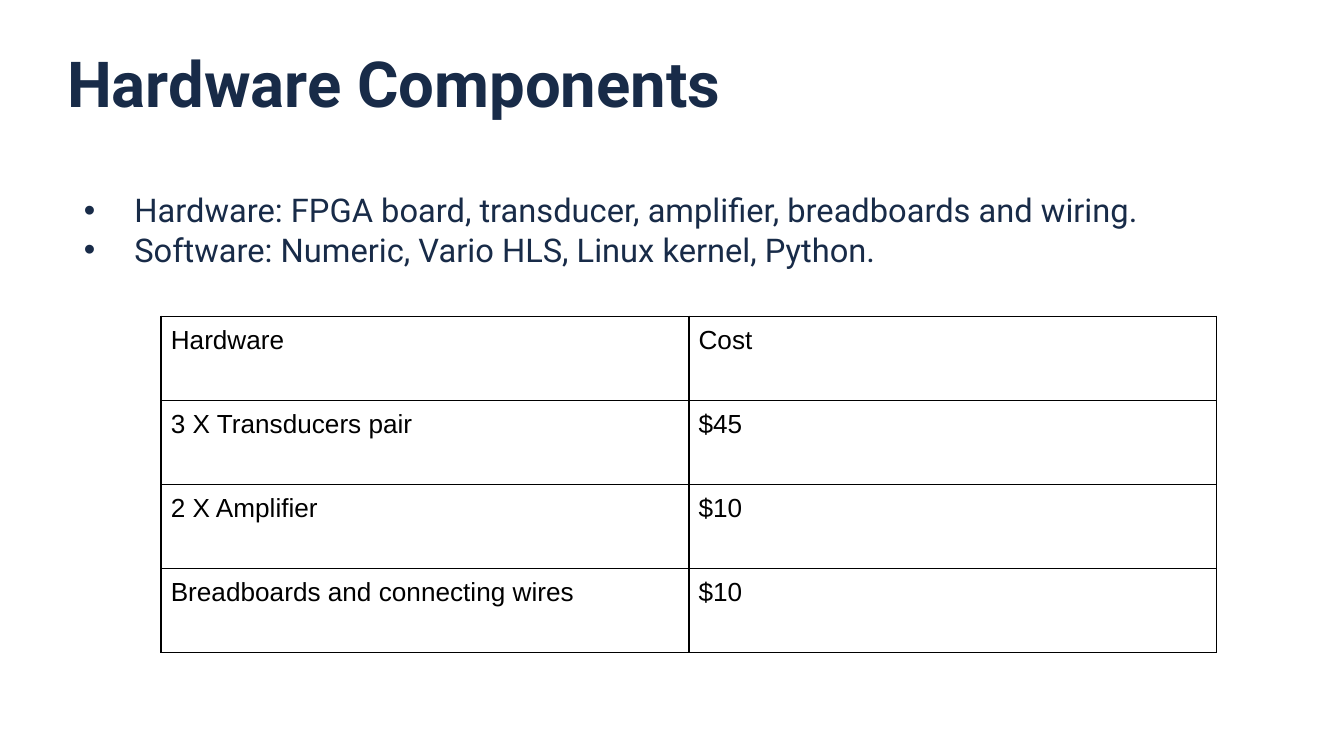
from dataclasses import dataclass

from lxml import etree
from pptx import Presentation
from pptx.dml.color import RGBColor
from pptx.enum.text import MSO_ANCHOR
from pptx.oxml.ns import qn
from pptx.util import Pt

TOP = MSO_ANCHOR.TOP
PX = 9525
BORDER_SIDES = ("a:lnL", "a:lnR", "a:lnT", "a:lnB")


@dataclass(frozen=True)
class Theme:
    navy: str = "182B48"
    black: str = "000000"
    white: str = "FFFFFF"
    heading_font: str = "Roboto"
    table_font: str = "Arial"
    title_size: float = 34
    body_size: float = 17.5
    table_size: float = 14
    border_width: float = 1


class SlideBuilder:
    def __init__(self, page, theme):
        self.page = page
        self.theme = theme
        page.background.fill.solid()
        page.background.fill.fore_color.rgb = RGBColor.from_string(theme.white)

    def style(self, para, name, size, color, bold=False):
        for span in para.runs:
            span.font.name = name
            span.font.size = Pt(size)
            span.font.bold = bold
            span.font.color.rgb = RGBColor.from_string(color)

    def text_box(self, left, top, width, height, text):
        box = self.page.shapes.add_textbox(left * PX, top * PX, width * PX, height * PX)
        frame = box.text_frame
        frame.word_wrap = True
        frame.vertical_anchor = TOP
        frame.margin_left = frame.margin_right = 0
        frame.margin_top = frame.margin_bottom = 0
        frame.text = text
        return frame

    def title(self, left, top, width, height, text):
        para = self.text_box(left, top, width, height, text).paragraphs[0]
        para.line_spacing = 0.8
        self.style(para, self.theme.heading_font, self.theme.title_size, self.theme.navy, True)

    def bullets(self, left, top, width, height, lines, indent, hanging):
        frame = self.text_box(left, top, width, height, "\n".join(lines))
        for para in frame.paragraphs:
            props = para._p.get_or_add_pPr()
            props.set("marL", str(indent * PX))
            props.set("indent", str(-hanging * PX))
            color = etree.SubElement(props, qn("a:buClr"))
            etree.SubElement(color, qn("a:srgbClr"), val=self.theme.navy)
            etree.SubElement(props, qn("a:buFont"), typeface=self.theme.table_font)
            etree.SubElement(props, qn("a:buChar"), char="•")
            self.style(para, self.theme.heading_font, self.theme.body_size, self.theme.navy)

    def borders(self, cell):
        props = cell._tc.get_or_add_tcPr()
        for index, side in enumerate(BORDER_SIDES):
            line = etree.Element(qn(side), w=str(Pt(self.theme.border_width)))
            fill = etree.SubElement(line, qn("a:solidFill"))
            etree.SubElement(fill, qn("a:srgbClr"), val=self.theme.black)
            props.insert(index, line)

    def table(self, left, top, column_width, row_height, rows, margin):
        columns = len(rows[0])
        frame = self.page.shapes.add_table(
            len(rows), columns, left * PX, top * PX,
            columns * column_width * PX, len(rows) * row_height * PX)
        grid = frame.table
        grid.first_row = grid.horz_banding = False
        for column in grid.columns:
            column.width = column_width * PX
        for row, values in zip(grid.rows, rows):
            row.height = row_height * PX
            for cell, value in zip(row.cells, values):
                cell.text_frame.text = value
                cell.margin_left = cell.margin_right = margin * PX
                cell.margin_top = cell.margin_bottom = margin * PX
                cell.vertical_anchor = TOP
                cell.fill.background()
                self.borders(cell)
                self.style(cell.text_frame.paragraphs[0], self.theme.table_font,
                           self.theme.table_size, self.theme.black)


def main():
    deck = Presentation()
    deck.slide_width = 960 * PX
    deck.slide_height = 540 * PX
    builder = SlideBuilder(deck.slides.add_slide(deck.slide_layouts[6]), Theme())
    builder.title(48, 42, 669, 68, "Hardware Components")
    builder.bullets(48, 136, 864, 328, [
        "Hardware: FPGA board, transducer, amplifier, breadboards and wiring.",
        "Software: Numeric, Vario HLS, Linux kernel, Python.",
    ], indent=48, hanging=36)
    builder.table(115, 226, 377, 60, [
        ("Hardware", "Cost"),
        ("3 X Transducers pair", "$45"),
        ("2 X Amplifier", "$10"),
        ("Breadboards and connecting wires", "$10"),
    ], margin=7)
    deck.save("out.pptx")


if __name__ == "__main__":
    main()
